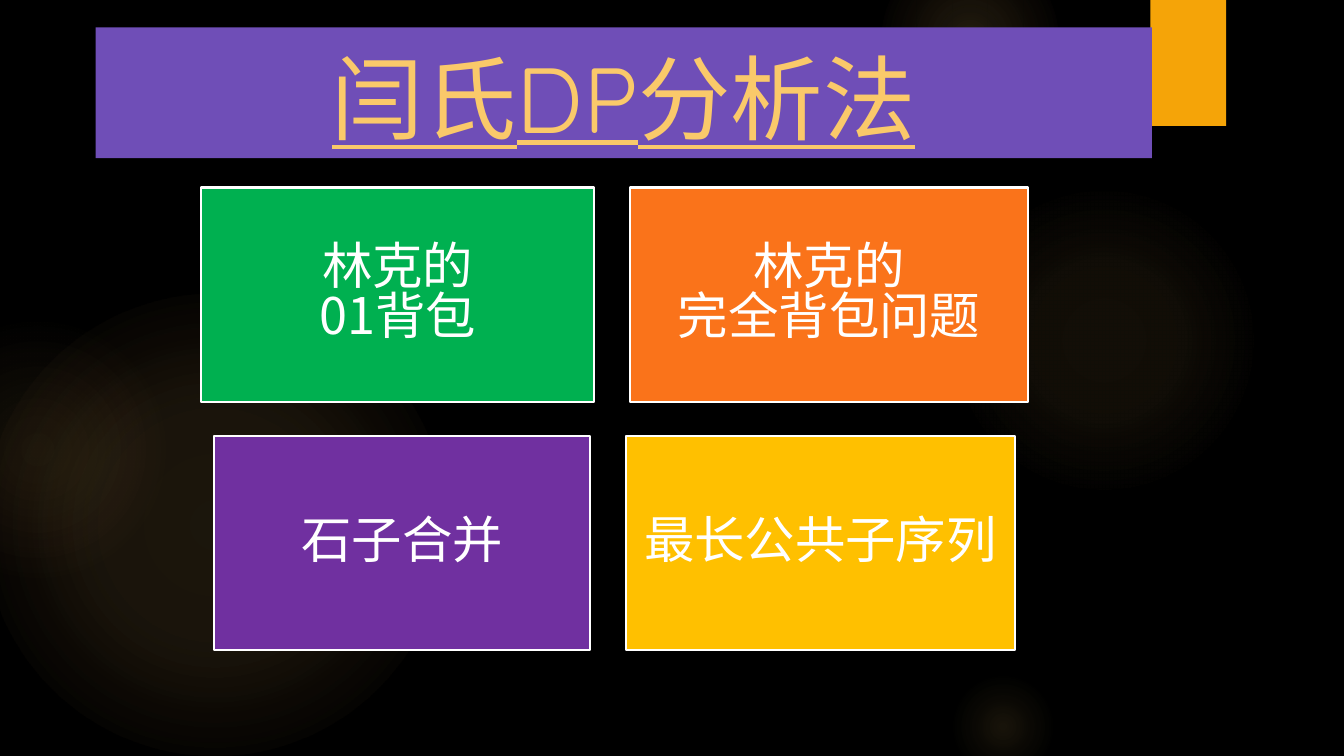
from dataclasses import dataclass

from lxml.etree import SubElement
from pptx import Presentation
from pptx.dml.color import RGBColor
from pptx.enum.shapes import MSO_SHAPE
from pptx.enum.text import MSO_ANCHOR, MSO_AUTO_SIZE, PP_ALIGN
from pptx.oxml.ns import qn
from pptx.shapes.autoshape import Shape
from pptx.slide import Slide
from pptx.util import Pt

COLORS = {
    "black": "000000",
    "white": "FFFFFF",
    "gold": "FAC96A",
    "peach": "F59B74",
    "amber": "F5A408",
    "violet": "6F4EB7",
    "green": "00B050",
    "orange": "FA731A",
    "purple": "7030A0",
    "yellow": "FFC000",
}
CJK_FONT = "Noto Sans CJK SC"
CARD_HEIGHT = 153


@dataclass
class Glow:
    left: float
    top: float
    diameter: float
    center_alpha: int
    middle_alpha: int
    middle: int
    edge: int
    edge_color: str = "gold"


@dataclass
class Topic:
    left: float
    top: float
    width: float
    color: str
    lines: list[str]


GLOWS = [
    Glow(-12, 210, 330, 11, 10, 36, 75),
    Glow(-66, 228, 186, 8, 5, 36, 71, "peach"),
    Glow(677.5, 132, 222, 7, 6, 36, 69),
    Glow(630, -36, 126, 14, 7, 36, 73),
    Glow(677.5, 480, 78, 10, 5, 31, 66),
]

TOPICS = [
    Topic(143.5, 134, 281, "green", ["林克的", "01背包"]),
    Topic(450, 134, 284.5, "orange", ["林克的", "完全背包问题"]),
    Topic(153, 311.5, 268.5, "purple", ["石子合并"]),
    Topic(447, 311.5, 278, "yellow", ["最长公共子序列"]),
]


def rgb(color: str) -> RGBColor:
    return RGBColor.from_string(COLORS[color])


def add_block(slide: Slide, kind: MSO_SHAPE, left: float, top: float,
              width: float, height: float) -> Shape:
    block = slide.shapes.add_shape(kind, Pt(left), Pt(top), Pt(width), Pt(height))
    block.shadow.inherit = False
    block.line.fill.background()
    return block


def fill_solid(shape: Shape, color: str) -> None:
    shape.fill.solid()
    shape.fill.fore_color.rgb = rgb(color)


def write_text(shape: Shape, lines: list[str], *, size: float, color: str, font: str,
               anchor: MSO_ANCHOR, margin: float, spacing: float,
               underline: bool = False) -> None:
    frame = shape.text_frame
    frame.word_wrap = True
    frame.auto_size = MSO_AUTO_SIZE.NONE
    frame.vertical_anchor = anchor
    frame.margin_left = frame.margin_right = Pt(margin)
    frame.margin_top = frame.margin_bottom = Pt(margin)
    frame.text = "\n".join(lines)
    for paragraph in frame.paragraphs:
        paragraph.alignment = PP_ALIGN.CENTER
        paragraph.line_spacing = spacing
        for run in paragraph.runs:
            run.font.size = Pt(size)
            run.font.name = font
            run.font.underline = underline
            run.font.color.rgb = rgb(color)
            east_asian = SubElement(run.font._element, qn("a:ea"))
            east_asian.set("typeface", CJK_FONT)


def add_glow(slide: Slide, glow: Glow) -> None:
    disc = add_block(slide, MSO_SHAPE.OVAL, glow.left, glow.top, glow.diameter, glow.diameter)
    disc.fill.gradient()
    gradient = disc.element.spPr.find(qn("a:gradFill"))
    for child in list(gradient):
        gradient.remove(child)
    stops = SubElement(gradient, qn("a:gsLst"))
    for position, color, alpha in (
        (0, "gold", glow.center_alpha),
        (glow.middle, "gold", glow.middle_alpha),
        (glow.edge, glow.edge_color, 0),
    ):
        stop = SubElement(stops, qn("a:gs"), pos=str(position * 1000))
        tint = SubElement(stop, qn("a:srgbClr"), val=COLORS[color])
        SubElement(tint, qn("a:alpha"), val=str(alpha * 1000))
    radial = SubElement(gradient, qn("a:path"))
    radial.set("path", "circle")
    center = SubElement(radial, qn("a:fillToRect"))
    for side in "ltrb":
        center.set(side, "50000")


def add_title(slide: Slide) -> None:
    title = slide.shapes.title
    title.element.getparent().append(title.element)
    title.left, title.top, title.width, title.height = Pt(68.25), Pt(19.5), Pt(754.5), Pt(93.5)
    fill_solid(title, "violet")
    write_text(title, ["闫氏DP分析法"], size=66, color="gold", font="Quicksand",
               anchor=MSO_ANCHOR.BOTTOM, margin=3.6, spacing=0.9, underline=True)


def add_topic(slide: Slide, topic: Topic) -> None:
    card = add_block(slide, MSO_SHAPE.RECTANGLE, topic.left, topic.top, topic.width, CARD_HEIGHT)
    fill_solid(card, topic.color)
    card.line.color.rgb = rgb("white")
    card.line.width = Pt(1.5)
    write_text(card, topic.lines, size=36, color="white", font=CJK_FONT,
               anchor=MSO_ANCHOR.MIDDLE, margin=10.8, spacing=0.82)


def main() -> None:
    presentation = Presentation()
    presentation.slide_width, presentation.slide_height = Pt(960), Pt(540)
    slide = presentation.slides.add_slide(presentation.slide_layouts[5])
    slide.background.fill.solid()
    slide.background.fill.fore_color.rgb = rgb("black")
    for glow in GLOWS:
        add_glow(slide, glow)
    accent = add_block(slide, MSO_SHAPE.RECTANGLE, 821.75, 0, 54, 90)
    fill_solid(accent, "amber")
    add_title(slide)
    for topic in TOPICS:
        add_topic(slide, topic)
    presentation.save("out.pptx")


if __name__ == "__main__":
    main()
